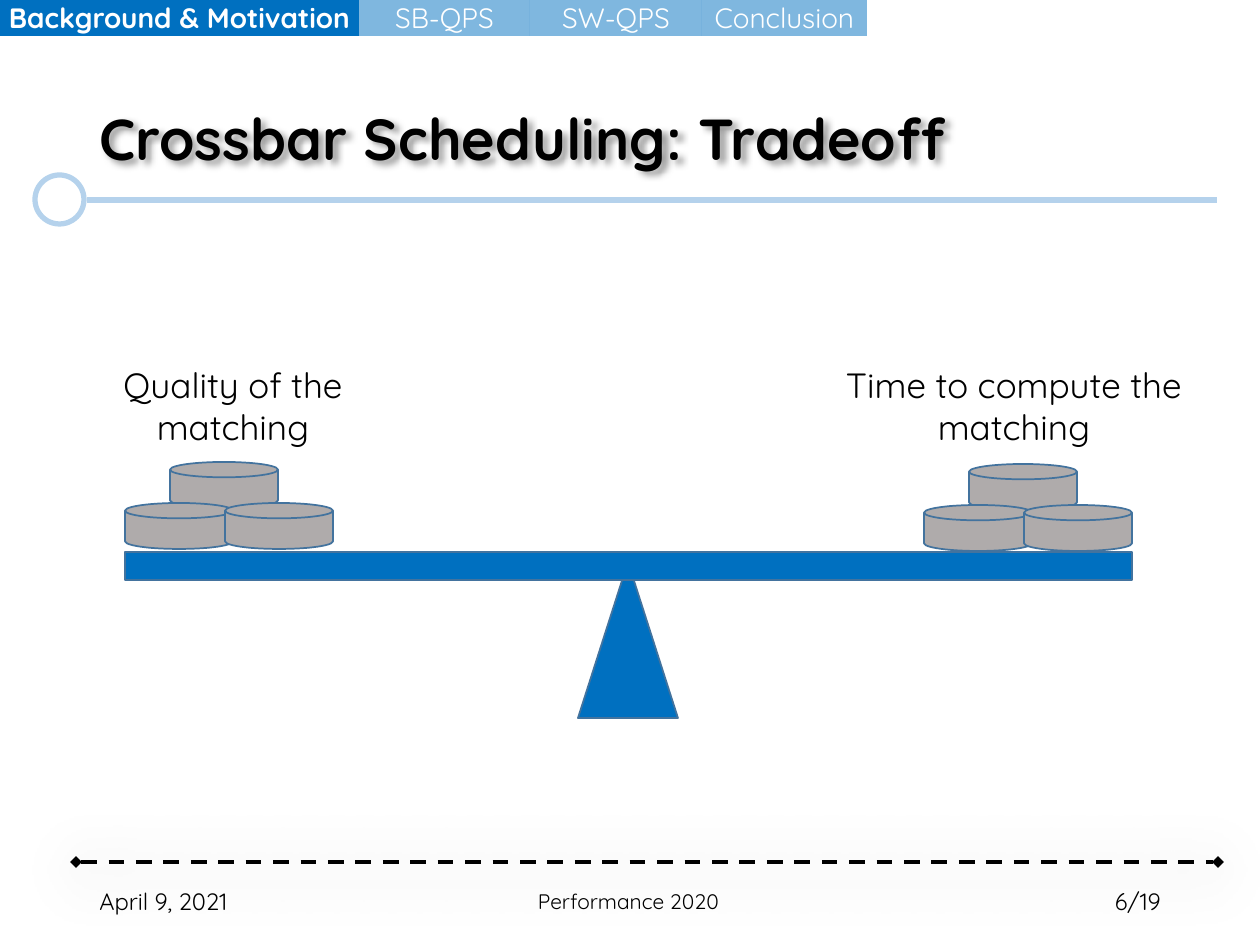
from lxml import etree
from pptx import Presentation, util as u
from pptx.dml.color import RGBColor
from pptx.enum import dml, shapes, text
from pptx.oxml import ns

BLUE = RGBColor(0x00, 0x70, 0xC0)
OUTLINE = RGBColor(0x43, 0x73, 0x9E)
PALE = RGBColor(0xB5, 0xD2, 0xEC)
GREY = RGBColor(0xAF, 0xAB, 0xAB)
BLACK = RGBColor(0, 0, 0)
WHITE = RGBColor(255, 255, 255)
FONT = "Quicksand"
SCALE = 914400 / 126
SHAPE = shapes.MSO_SHAPE
ALIGN = text.PP_ALIGN
MIDDLE = text.MSO_ANCHOR.MIDDLE


def px(*lengths):
    """Turn pixel lengths into EMU."""
    return [u.Emu(round(length * SCALE)) for length in lengths]


def add_child(parent, tag, **attributes):
    """Append a DrawingML element."""
    values = {name: str(value) for name, value in attributes.items()}
    return etree.SubElement(parent, ns.qn("a:" + tag), values)


def add_shadow(shape, blur, distance, angle, opacity):
    """Give a shape a soft black outer shadow, in points, degrees and percent."""
    effects = add_child(shape._element.spPr, "effectLst")
    shadow = add_child(effects, "outerShdw", blurRad=u.Pt(blur), dist=u.Pt(distance),
                       dir=angle * 60000, algn="tl", rotWithShape=0)
    color = add_child(shadow, "srgbClr", val=BLACK)
    add_child(color, "alpha", val=opacity * 1000)


def write(frame, wording, size, color=BLACK, align=ALIGN.LEFT, bold=False):
    """Write one paragraph with one run."""
    frame.word_wrap = True
    paragraph = frame.paragraphs[0]
    paragraph.alignment = align
    run = paragraph.add_run()
    run.text = wording
    font = run.font
    font.name, font.size, font.bold = FONT, u.Pt(size), bold
    font.color.rgb = color
    return paragraph


def add_label(slide, box, wording, size, align, anchor=MIDDLE):
    """Add a text box."""
    frame = slide.shapes.add_textbox(*px(*box)).text_frame
    frame.vertical_anchor = anchor
    write(frame, wording, size, align=align)


def add_block(slide, kind, box, fill, line=None, weight=1):
    """Add a flat preset shape."""
    shape = slide.shapes.add_shape(kind, *px(*box))
    shape.shadow.inherit = False
    shape.fill.solid()
    shape.fill.fore_color.rgb = fill
    if line is None:
        shape.line.fill.background()
    else:
        shape.line.color.rgb = line
        shape.line.width = u.Pt(weight)
    return shape


def add_rule(slide, left, right, y, color, weight):
    """Add a horizontal line."""
    rule = slide.shapes.add_connector(shapes.MSO_CONNECTOR.STRAIGHT, *px(left, y, right, y))
    rule.line.color.rgb = color
    rule.line.width = u.Pt(weight)
    return rule


def add_heading(slide, box, wording):
    """Place the title and the circle-tipped rule below it."""
    left, top, width, height = box
    rule = add_rule(slide, left, left + 1130, top + 150, PALE, 3)
    add_child(rule._element.spPr, "effectLst")
    add_block(slide, SHAPE.OVAL, (left - 52, top + 125, 49, 49), WHITE, PALE, 3)
    title = slide.shapes.title
    title.left, title.top, title.width, title.height = px(*box)
    frame = title.text_frame
    frame.auto_size = text.MSO_AUTO_SIZE.NONE
    frame.vertical_anchor = MIDDLE
    write(frame, wording, 33, bold=True).line_spacing = 0.9
    add_shadow(title, 4, 3, 45, 40)


def add_footer(slide, box, date, event, page):
    """Place the dashed rule and the three footer texts."""
    left, top, width, height = box
    rule = add_rule(slide, left - 11, left + 1131, top - 14, BLACK, 2.25)
    rule.line.dash_style = dml.MSO_LINE.DASH
    for end in ("headEnd", "tailEnd"):
        add_child(rule.line._get_or_add_ln(), end, type="diamond")
    add_shadow(rule, 36, 4, 90, 43)
    side = 283
    add_label(slide, (left, top, side, height), date, 13.5, ALIGN.LEFT)
    add_label(slide, (left + 217, top, 649, height), event, 12, ALIGN.CENTER)
    add_label(slide, (left + width - side, top, side, height), page, 13.5, ALIGN.RIGHT)


def add_weights(slide, left, top):
    """Stack three disks."""
    for dx, dy in ((45, 0), (0, 41), (100, 41)):
        add_block(slide, SHAPE.FLOWCHART_MAGNETIC_DISK, (left + dx, top + dy, 108, 46), GREY, OUTLINE)


def add_balance(slide, box, left_label, right_label):
    """Draw the seesaw with its weights and labels."""
    left, top, width, height = box
    beam = top + 195
    add_block(slide, SHAPE.ISOSCELES_TRIANGLE,
              (left + width // 2 - 50, beam + 10, 100, height - 205), BLUE, OUTLINE)
    add_block(slide, SHAPE.RECTANGLE, (left, beam, width, 28), BLUE, OUTLINE)
    add_weights(slide, left, beam - 90)
    add_weights(slide, left + width - 208, beam - 88)
    for x, wording in ((left - 81, left_label), (left + 700, right_label)):
        add_label(slide, (x, top, 378, 97), wording, 20, ALIGN.CENTER, text.MSO_ANCHOR.TOP)


def add_tabs(slide, box, names, widths, current):
    """Draw the section tabs, with the current one solid."""
    left, top, height = box
    for name, width in zip(names, widths):
        active = name == current
        tab = add_block(slide, SHAPE.RECTANGLE, (left, top, width, height), BLUE)
        if not active:
            color = tab.fill._xPr.find(".//" + ns.qn("a:srgbClr"))
            add_child(color, "alpha", val=50000)
        frame = tab.text_frame
        frame.margin_left = frame.margin_right = 0
        frame.vertical_anchor = MIDDLE
        write(frame, name, 16, WHITE, ALIGN.CENTER, active)
        left += width


def main():
    """Build and save the slide."""
    presentation = Presentation()
    presentation.slide_width, presentation.slide_height = px(1260, 945)
    slide = presentation.slides.add_slide(presentation.slide_layouts[5])
    add_heading(slide, (87, 50, 1086, 183), "Crossbar Scheduling: Tradeoff")
    add_footer(slide, (87, 876, 1086, 50), "April 9, 2021", "Performance 2020", "6/19")
    add_balance(slide, (125, 357, 1007, 361), "Quality of the matching", "Time to compute the matching")
    add_tabs(slide, (0, -1, 37), ("Background & Motivation", "SB-QPS", "SW-QPS", "Conclusion"),
             (359, 171, 172, 165), "Background & Motivation")
    presentation.save("out.pptx")


main()
